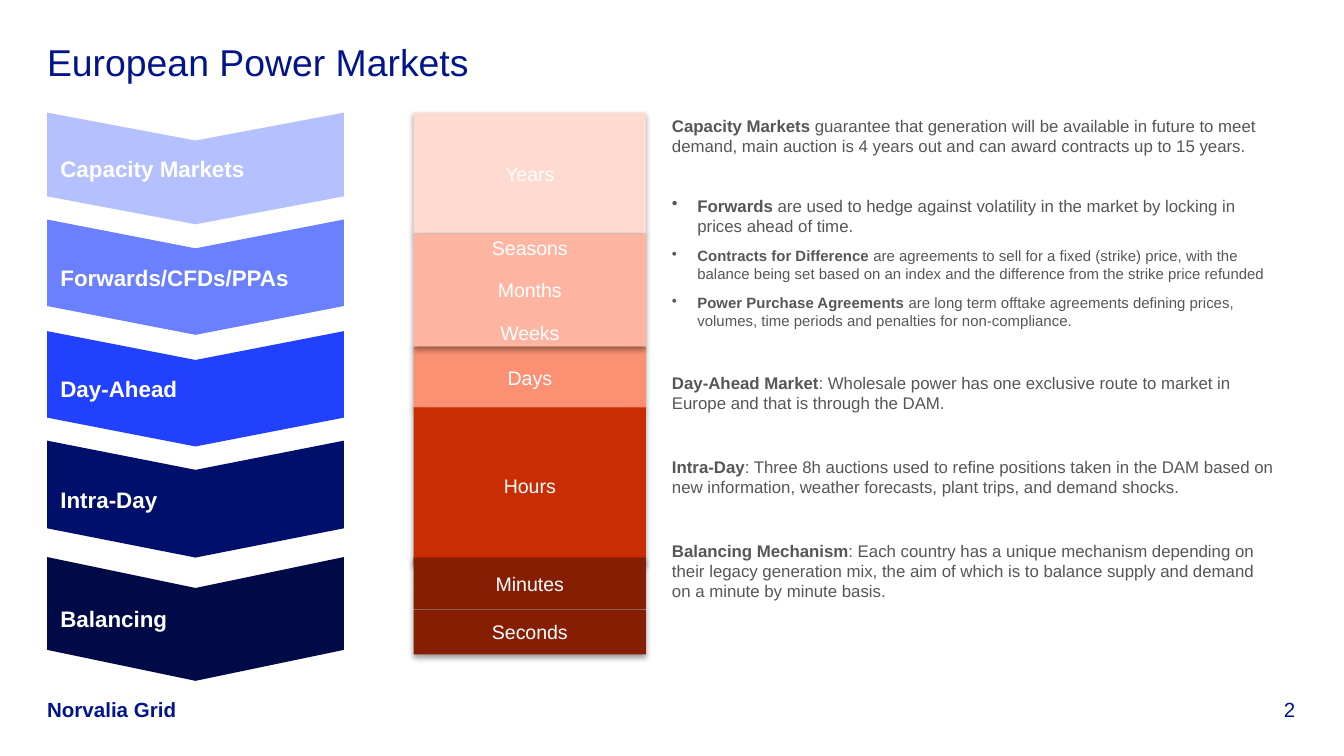
from dataclasses import dataclass

import pptx
import pptx.dml.color
import pptx.enum.shapes
import pptx.enum.text
import pptx.oxml
import pptx.oxml.ns
import pptx.util
from pptx.util import Cm, Pt

HUES = {
    "navy": "00148C", "grey": "55555A", "white": "FFFFFF",
    "blue1": "B5C0FF", "blue2": "6B80FF", "blue3": "2141FF",
    "blue4": "000F69", "blue5": "000A46",
    "red1": "FEDAD0", "red2": "FDB5A2", "red3": "FC9073",
    "red4": "C82D04", "red5": "851E03",
}
FONT = "Arial"
ALIGN = pptx.enum.text.PP_ALIGN
ANCHOR = pptx.enum.text.MSO_ANCHOR
FORM = pptx.enum.shapes.MSO_SHAPE
qn = pptx.oxml.ns.qn


@dataclass
class Block:
    lines: list[str]
    top: float
    height: float
    hue: str


@dataclass
class Note:
    lead: str
    rest: str
    after: float = 6
    size: float = 9
    dot: bool = False


MARKETS = [
    Block(["Capacity Markets"], 2.13, 2.11, "blue1"),
    Block(["Forwards/CFDs/PPAs"], 4.15, 2.18, "blue2"),
    Block(["Day-Ahead"], 6.26, 2.18, "blue3"),
    Block(["Intra-Day"], 8.33, 2.21, "blue4"),
    Block(["Balancing"], 10.53, 2.34, "blue5"),
]
SPANS = [
    Block(["Years"], 2.13, 2.29, "red1"),
    Block(["Days"], 6.55, 1.17, "red3"),
    Block(["Hours"], 7.7, 2.97, "red4"),
    Block(["Minutes"], 10.54, 0.98, "red5"),
    Block(["Seconds"], 11.53, 0.84, "red5"),
    Block(["Seasons", "Months", "Weeks"], 4.42, 2.13, "red2"),
]
NOTES = [
    Note("Capacity Markets ", "guarantee that generation will be available in future to meet "
         "demand, main auction is 4 years out and can award contracts up to 15 years.", 21.2),
    Note("Forwards", " are used to hedge against volatility in the market by locking in "
         "prices ahead of time.", dot=True),
    Note("Contracts for Difference ", "are agreements to sell for a fixed (strike) price, with the "
         "balance being set based on an index and the difference from the strike price refunded",
         size=8, dot=True),
    Note("Power Purchase Agreements ", "are long term offtake agreements defining prices, "
         "volumes, time periods and penalties for non-compliance.", 22.8, 8, True),
    Note("Day-Ahead Market", ": Wholesale power has one exclusive route to market in "
         "Europe and that is through the DAM.", 23.5),
    Note("Intra-Day", ": Three 8h auctions used to refine positions taken in the DAM based on "
         "new information, weather forecasts, plant trips, and demand shocks.", 23.5),
    Note("Balancing Mechanism", ": Each country has a unique mechanism depending on "
         "their legacy generation mix, the aim of which is to balance supply and demand "
         "on a minute by minute basis."),
]


def tint(hue: str) -> pptx.dml.color.RGBColor:
    return pptx.dml.color.RGBColor.from_string(HUES[hue])


def style(para, size: float, hue: str, align=ALIGN.LEFT, bold: bool | None = None) -> None:
    para.alignment = align
    font = para.font
    font.name, font.size, font.bold = FONT, Pt(size), bold
    font.color.rgb = tint(hue)


def pad(frame, gap: float, anchor) -> None:
    """Wrap the text, with one inset on all four sides."""
    frame.word_wrap = True
    frame.vertical_anchor = anchor
    frame.margin_left = frame.margin_right = Cm(gap)
    frame.margin_top = frame.margin_bottom = Cm(gap)


def add_text(slide, left: float, top: float, width: float, height: float, anchor=ANCHOR.TOP):
    frame = slide.shapes.add_textbox(Cm(left), Cm(top), Cm(width), Cm(height)).text_frame
    pad(frame, 0, anchor)
    return frame


def add_line(slide, text: str, box: tuple, size: float, anchor=ANCHOR.TOP,
             align=ALIGN.LEFT, bold: bool = False) -> None:
    para = add_text(slide, *box, anchor).paragraphs[0]
    para.text = text
    style(para, size, "navy", align, bold)


def add_form(slide, form, box: tuple, hue: str):
    shape = slide.shapes.add_shape(form, *map(Cm, box))
    shape.shadow.inherit = False
    shape.fill.solid()
    shape.fill.fore_color.rgb = tint(hue)
    shape.line.fill.background()
    pad(shape.text_frame, 0.25, ANCHOR.MIDDLE)
    return shape


def add_market(slide, item: Block) -> None:
    """Draw a chevron turned to point down, with its label kept level."""
    left, width = 0.89, 5.61
    shift = (width - item.height) / 2
    shape = add_form(slide, FORM.CHEVRON,
                     (left + shift, item.top - shift, item.height, width), item.hue)
    shape.adjustments[0] = 0.25
    shape.rotation = 90
    frame = shape.text_frame
    frame._txBody.bodyPr.set("vert", "vert270")
    para = frame.paragraphs[0]
    para.text = item.lines[0]
    style(para, 12, "white", bold=True)


def add_shade(shape) -> None:
    """Give the shape a soft shadow straight below it."""
    effects = shape._element.spPr.find(qn("a:effectLst"))
    shade = pptx.oxml.parse_xml(
        f'<a:outerShdw {pptx.oxml.ns.nsdecls("a")} blurRad="40000" dist="20000" '
        'dir="5400000" rotWithShape="0"><a:srgbClr val="000000">'
        '<a:alpha val="38000"/></a:srgbClr></a:outerShdw>')
    effects.append(shade)


def add_span(slide, item: Block) -> None:
    shape = add_form(slide, FORM.RECTANGLE, (7.82, item.top, 4.39, item.height), item.hue)
    add_shade(shape)
    frame = shape.text_frame
    frame.text = "\n".join(item.lines)
    for para in frame.paragraphs:
        style(para, 10.5, "white", ALIGN.CENTER)
        para.space_before, para.space_after = Pt(4), Pt(6)


def add_dot(para) -> None:
    props = para._p.get_or_add_pPr()
    props.set("marL", str(Cm(0.48)))
    props.set("indent", str(-Cm(0.48)))
    mark = pptx.oxml.parse_xml(f'<a:buChar {pptx.oxml.ns.nsdecls("a")} char="•"/>')
    props.insert_element_before(mark, "a:tabLst", "a:defRPr", "a:extLst")


def add_notes(slide, notes: list[Note]) -> None:
    frame = add_text(slide, 12.7, 2.18, 11.4, 9.32)
    for i, note in enumerate(notes):
        para = frame.add_paragraph() if i else frame.paragraphs[0]
        style(para, note.size, "grey")
        para.space_after = Pt(note.after)
        if note.dot:
            add_dot(para)
        for text, bold in ((note.lead, True), (note.rest, False)):
            run = para.add_run()
            run.text, run.font.bold = text, bold


def main() -> None:
    deck = pptx.Presentation()
    deck.slide_width, deck.slide_height = Cm(25.4), Cm(14.29)
    slide = deck.slides.add_slide(deck.slide_layouts[6])
    add_line(slide, "2", (23.01, 13.16, 1.47, 0.48), 11, ANCHOR.BOTTOM, ALIGN.RIGHT)
    add_line(slide, "Norvalia Grid", (0.89, 13.16, 4, 0.48), 11, ANCHOR.BOTTOM, bold=True)
    add_line(slide, "European Power Markets", (0.89, 0.74, 23.6, 1.19), 20)
    for item in MARKETS:
        add_market(slide, item)
    for item in SPANS:
        add_span(slide, item)
    add_notes(slide, NOTES)
    deck.save("out.pptx")


if __name__ == "__main__":
    main()
